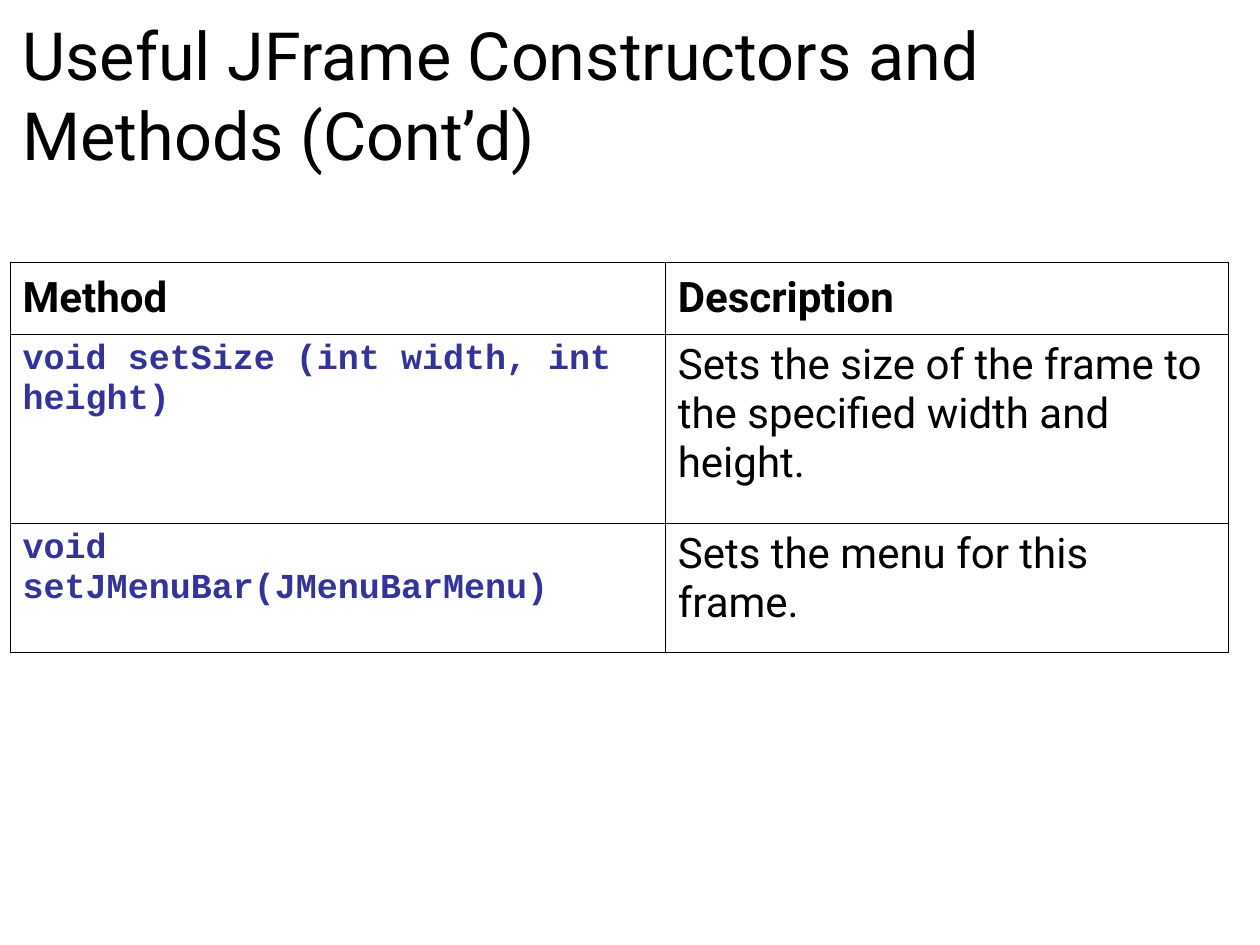
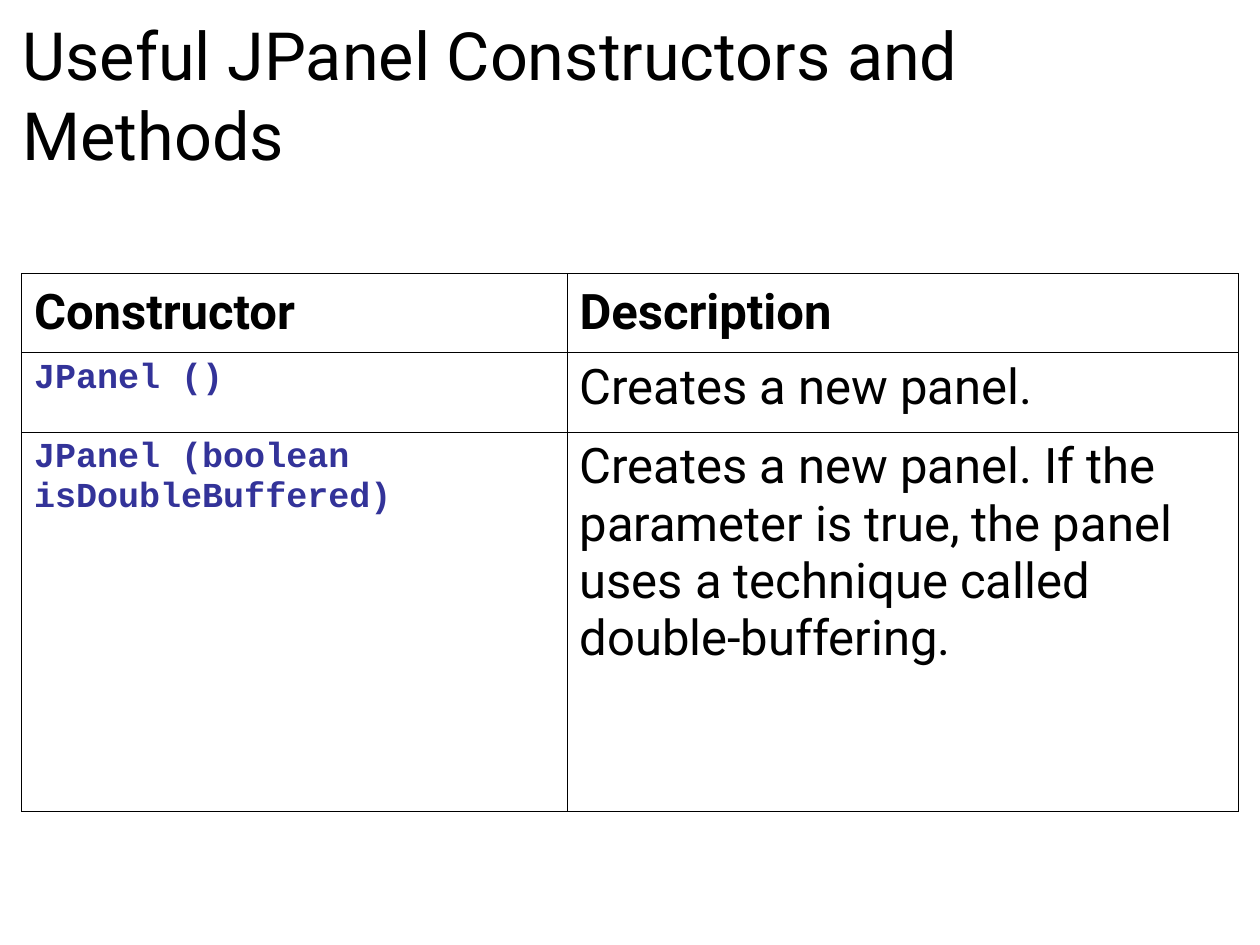
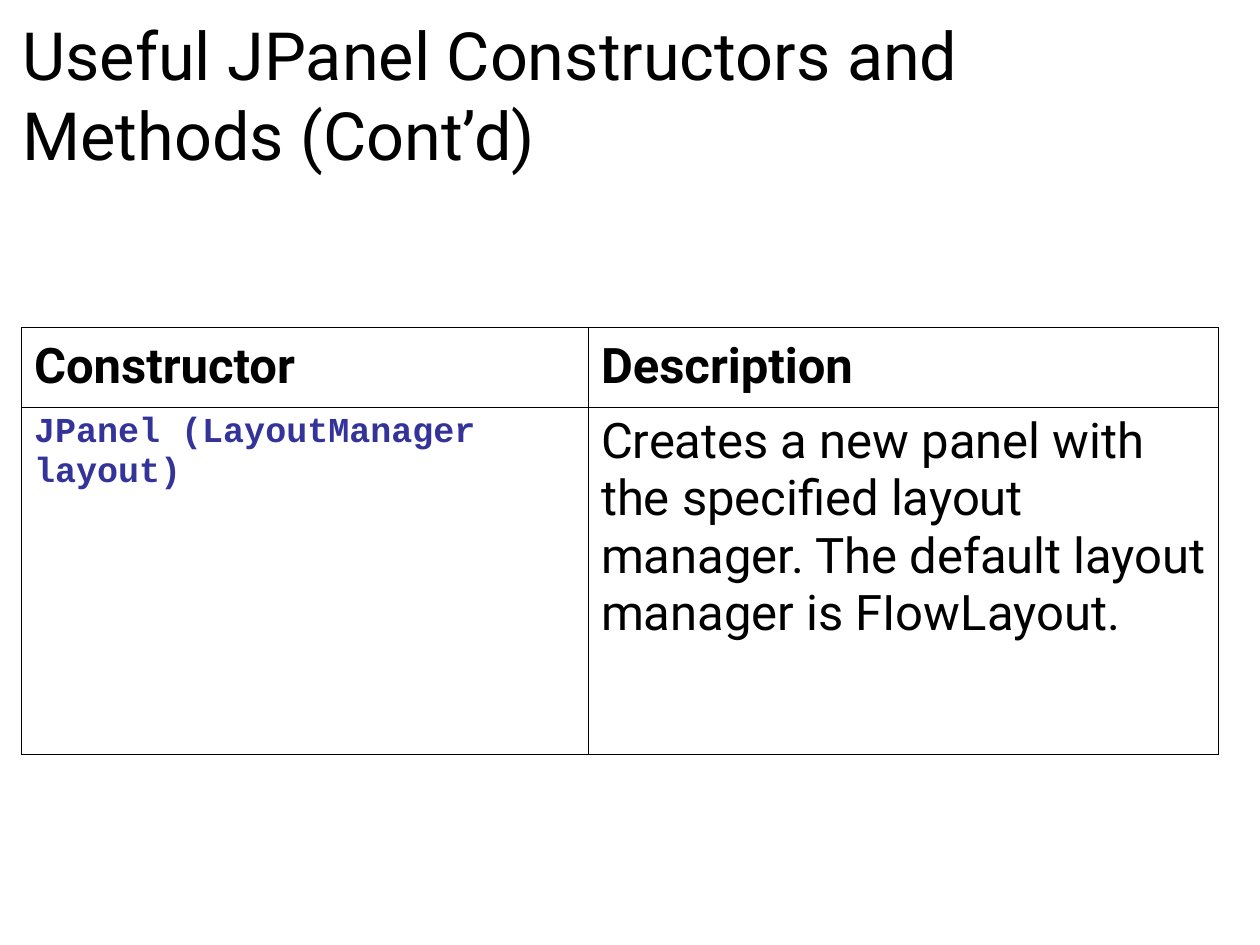
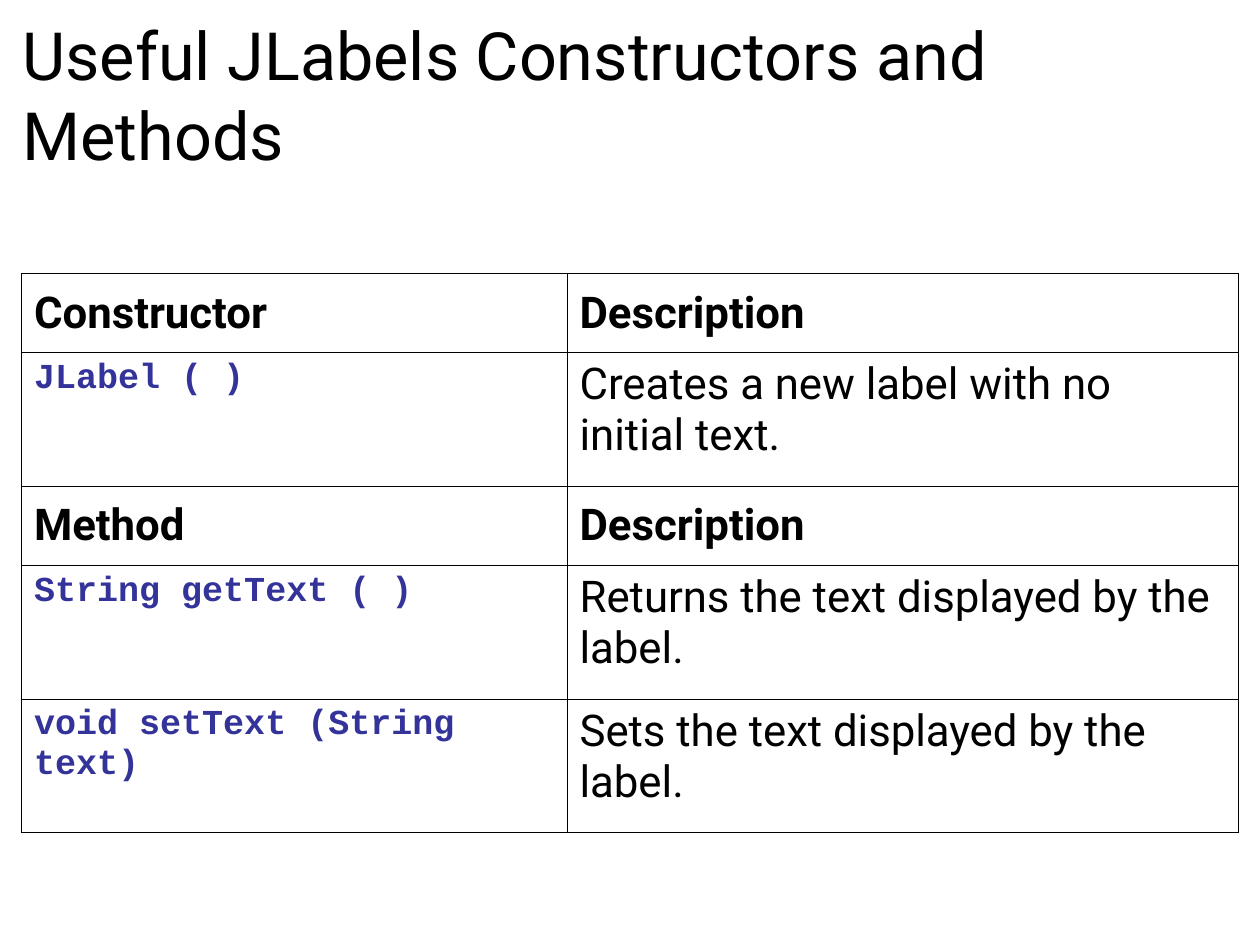
from lxml.etree import SubElement
from pptx import Presentation
from pptx.dml.color import RGBColor
from pptx.enum.text import MSO_ANCHOR
from pptx.oxml.ns import qn
from pptx.util import Inches, Pt

BLACK = "000000"
NAVY = "333399"
SANS = "Roboto"
MONO = "Courier New"
HEADS = ("Constructor", "Method")

PAGES = [
    {
        "title": "Useful JFrame Constructors and Methods (Cont’d)",
        "left": 0.08, "top": 2.08, "size": 24,
        "cols": [5.2, 4.47], "heights": [0.57, 1.5, 1.03],
        "rows": [
            ("Method", "Description"),
            ("void setSize (int width, int height)",
             "Sets the size of the frame to the specified width and height."),
            ("void setJMenuBar(JMenuBarMenu)", "Sets the menu for this frame."),
        ],
    },
    {
        "title": "Useful JPanel Constructors and Methods",
        "left": 0.17, "top": 2.17, "size": 28,
        "cols": [4.33, 5.33], "heights": [0.63, 0.63, 3.01],
        "rows": [
            ("Constructor", "Description"),
            ("JPanel ()", "Creates a new panel."),
            ("JPanel (boolean isDoubleBuffered)",
             "Creates a new panel. If the parameter is true, the panel uses "
             "a technique called double-buffering."),
        ],
    },
    {
        "title": "Useful JPanel Constructors and Methods (Cont’d)",
        "left": 0.17, "top": 2.6, "size": 28,
        "cols": [4.5, 5], "heights": [0.63, 2.76],
        "rows": [
            ("Constructor", "Description"),
            ("JPanel (LayoutManager layout)",
             "Creates a new panel with the specified layout manager. "
             "The default layout manager is FIowLayout."),
        ],
    },
    {
        "title": "Useful JLabels Constructors and Methods",
        "left": 0.17, "top": 2.17, "size": 25,
        "cols": [4.33, 5.33], "heights": [0.63, 1.06, 0.63, 1.06, 1.06],
        "rows": [
            ("Constructor", "Description"),
            ("JLabel ( )", "Creates a new label with no initial text."),
            ("Method", "Description"),
            ("String getText ( )", "Returns the text displayed by the label."),
            ("void setText (String text)",
             "Sets the text displayed by the label."),
        ],
    },
]


def color(code):
    return RGBColor.from_string(code)


def write(frame, text, size, face=SANS, tint=BLACK, bold=False):
    frame.text = text
    frame.word_wrap = True
    for run in frame.paragraphs[0].runs:
        font = run.font
        font.name, font.size, font.bold = face, Pt(size), bold
        font.color.rgb = color(tint)


def add_title(slide, text):
    box = slide.shapes.add_textbox(
        Inches(0.08), Inches(0.06), Inches(8.25), Inches(1.57))
    write(box.text_frame, text, 38)


def rule(cell):
    """Draw a thin line on all four sides of a cell, with no fill inside."""
    props = cell._tc.get_or_add_tcPr()
    for side in ("lnL", "lnR", "lnT", "lnB"):
        line = SubElement(props, qn("a:" + side), w=str(Pt(0.45)))
        fill = SubElement(line, qn("a:solidFill"))
        SubElement(fill, qn("a:srgbClr"), val=BLACK)
    cell.fill.background()


def add_grid(slide, page):
    """Add the table of signatures and what they do."""
    rows, cols, heights = page["rows"], page["cols"], page["heights"]
    grid = slide.shapes.add_table(
        len(rows), len(cols), Inches(page["left"]), Inches(page["top"]),
        Inches(sum(cols)), Inches(sum(heights))).table
    grid.first_row = grid.horz_banding = False
    for col, width in zip(grid.columns, cols):
        col.width = Inches(width)
    for row, height, texts in zip(grid.rows, heights, rows):
        row.height = Inches(height)
        head = texts[0] in HEADS
        for i, (cell, text) in enumerate(zip(row.cells, texts)):
            rule(cell)
            cell.vertical_anchor = MSO_ANCHOR.MIDDLE if head else MSO_ANCHOR.TOP
            if i == 0 and not head:
                write(cell.text_frame, text, 20, MONO, NAVY, True)
            else:
                write(cell.text_frame, text, page["size"], bold=head)


def main():
    deck = Presentation()
    deck.slide_width, deck.slide_height = Inches(10), Inches(7.5)
    for page in PAGES:
        slide = deck.slides.add_slide(deck.slide_layouts[6])
        add_title(slide, page["title"])
        add_grid(slide, page)
    deck.save("out.pptx")


if __name__ == "__main__":
    main()
